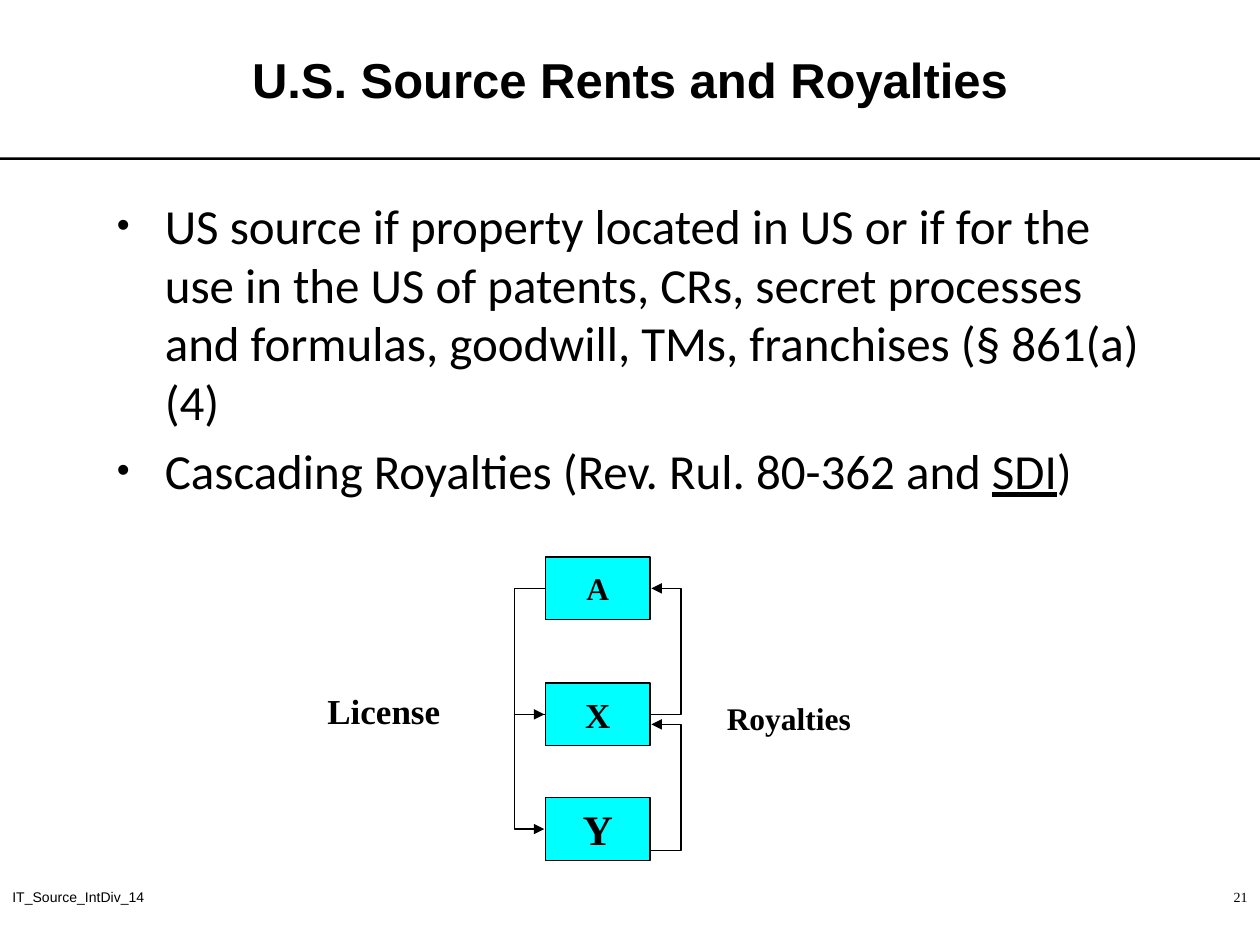
from lxml.etree import SubElement
from pptx import Presentation
from pptx.dml.color import RGBColor
from pptx.enum.shapes import MSO_CONNECTOR as LINE, MSO_SHAPE as SHAPE
from pptx.enum.text import MSO_ANCHOR as ANCHOR, PP_ALIGN as ALIGN
from pptx.oxml.ns import qn
from pptx.util import Inches, Pt

COLORS = {"ink": "000000", "paper": "FFFFFF", "box": "00FFFF"}
SANS, BODY, SERIF = "Arial", "Calibri", "Times New Roman"

# Content
TITLE = "U.S. Source Rents and Royalties"
BULLETS = [
    [("US source if property located in US or if for the use in the US of "
      "patents, CRs, secret processes and formulas, goodwill, TMs, "
      "franchises (§ 861(a)(4)", False)],
    [("Cascading Royalties (Rev. Rul. 80-362 and ", False),
     ("SDI", True), (")", False)],
]
PARTIES = [("A", 4.42, 18), ("X", 5.42, 20), ("Y", 6.33, 24)]
LABELS = [("Royalties", 5.67, 5.5, 0.4, 18), ("License", 2.5, 5.42, 0.43, 20)]
FOOTERS = [("IT_Source_IntDiv_14", 0, 3.17, SANS, ALIGN.LEFT),
           ("21", 7.92, 2.08, SERIF, ALIGN.RIGHT)]

# Diagram measures
BOX_LEFT, BOX_WIDTH, BOX_HEIGHT = 4.33, 0.83, 0.5
BOX_RIGHT = BOX_LEFT + BOX_WIDTH
REACH, STEP = 0.25, 0.01
MID_A, MID_X, MID_Y = [top + BOX_HEIGHT / 2 for _, top, _ in PARTIES]
# Side (-1 left, 1 right), start height, end height
FLOWS = [(1, MID_X, MID_A), (-1, MID_A, MID_X), (-1, MID_X, MID_Y),
         (1, 6.75, 5.75)]


def color(name):
    return RGBColor.from_string(COLORS[name])


def add_span(para, text, font, size, bold=False, underline=False):
    span = para.add_run()
    span.text = text
    span.font.name, span.font.size = font, Pt(size)
    span.font.bold, span.font.underline = bold, underline
    span.font.color.rgb = color("ink")


def add_text(page, left, top, width, height, wrap=True):
    box = page.shapes.add_textbox(*map(Inches, (left, top, width, height)))
    box.text_frame.word_wrap = wrap
    return box.text_frame


def add_rect(page, left, top, width, height, fill, text, font, size, wrap):
    rect = page.shapes.add_shape(
        SHAPE.RECTANGLE, *map(Inches, (left, top, width, height)))
    rect.shadow.inherit = False
    rect.fill.solid()
    rect.fill.fore_color.rgb = color(fill)
    frame = rect.text_frame
    frame.word_wrap, frame.vertical_anchor = wrap, ANCHOR.MIDDLE
    frame.paragraphs[0].alignment = ALIGN.CENTER
    add_span(frame.paragraphs[0], text, font, size, bold=True)
    return rect


def add_line(page, kind, start, end, weight):
    line = page.shapes.add_connector(kind, *map(Inches, (*start, *end)))
    line.line.color.rgb, line.line.width = color("ink"), Pt(weight)
    SubElement(line._element.spPr, qn("a:effectLst"))
    return line


def add_flow(page, side, start_y, end_y):
    edge = BOX_RIGHT if side > 0 else BOX_LEFT
    flow = add_line(page, LINE.ELBOW, (edge, start_y),
                    (edge + side * STEP, end_y), 0.75)
    # The bend lies beyond the end point, as a share of the tiny width
    guides = flow._element.spPr.find(qn("a:prstGeom")).get_or_add_avLst()
    SubElement(guides, qn("a:gd"), name="adj1",
               fmla=f"val {round(REACH / STEP * 100000)}")
    SubElement(flow.line._get_or_add_ln(), qn("a:tailEnd"), type="triangle")


def add_bullet(para):
    props = para._p.get_or_add_pPr()
    props.set("marL", str(Inches(0.38)))
    props.set("indent", str(-Inches(0.38)))
    SubElement(props, qn("a:buSzPct"), val="75000")
    SubElement(props, qn("a:buFont"), typeface=SANS)
    SubElement(props, qn("a:buChar"), char="•")


def main():
    deck = Presentation()
    deck.slide_width, deck.slide_height = Inches(10), Inches(7.5)
    page = deck.slides.add_slide(deck.slide_layouts[6])

    # Rule and title band, which covers the upper half of the rule
    add_line(page, LINE.STRAIGHT, (0, 1.25), (10, 1.25), 3)
    band = add_rect(page, 0, 0, 10, 1.25, "paper", TITLE, SANS, 28, True)
    band.line.fill.background()

    # Footers
    for text, left, width, font, align in FOOTERS:
        para = add_text(page, left, 7, width, 0.5).paragraphs[0]
        para.alignment = align
        add_span(para, text, font, 8)

    # Bullets
    frame = add_text(page, 0.83, 1.5, 8.42, 5.42)
    for index, spans in enumerate(BULLETS):
        para = frame.add_paragraph() if index else frame.paragraphs[0]
        add_bullet(para)
        if index:
            para.space_before = Pt(5.6)
        for text, underline in spans:
            add_span(para, text, BODY, 28, underline=underline)

    # Parties
    for name, top, size in PARTIES:
        box = add_rect(page, BOX_LEFT, top, BOX_WIDTH, BOX_HEIGHT, "box",
                       name, SERIF, size, False)
        box.line.color.rgb, box.line.width = color("ink"), Pt(0.75)

    # Licence and royalty flows with their labels
    for flow in FLOWS:
        add_flow(page, *flow)
    for text, left, top, height, size in LABELS:
        para = add_text(page, left, top, 1.33, height).paragraphs[0]
        add_span(para, text, SERIF, size, bold=True)

    deck.save("out.pptx")


if __name__ == "__main__":
    main()
